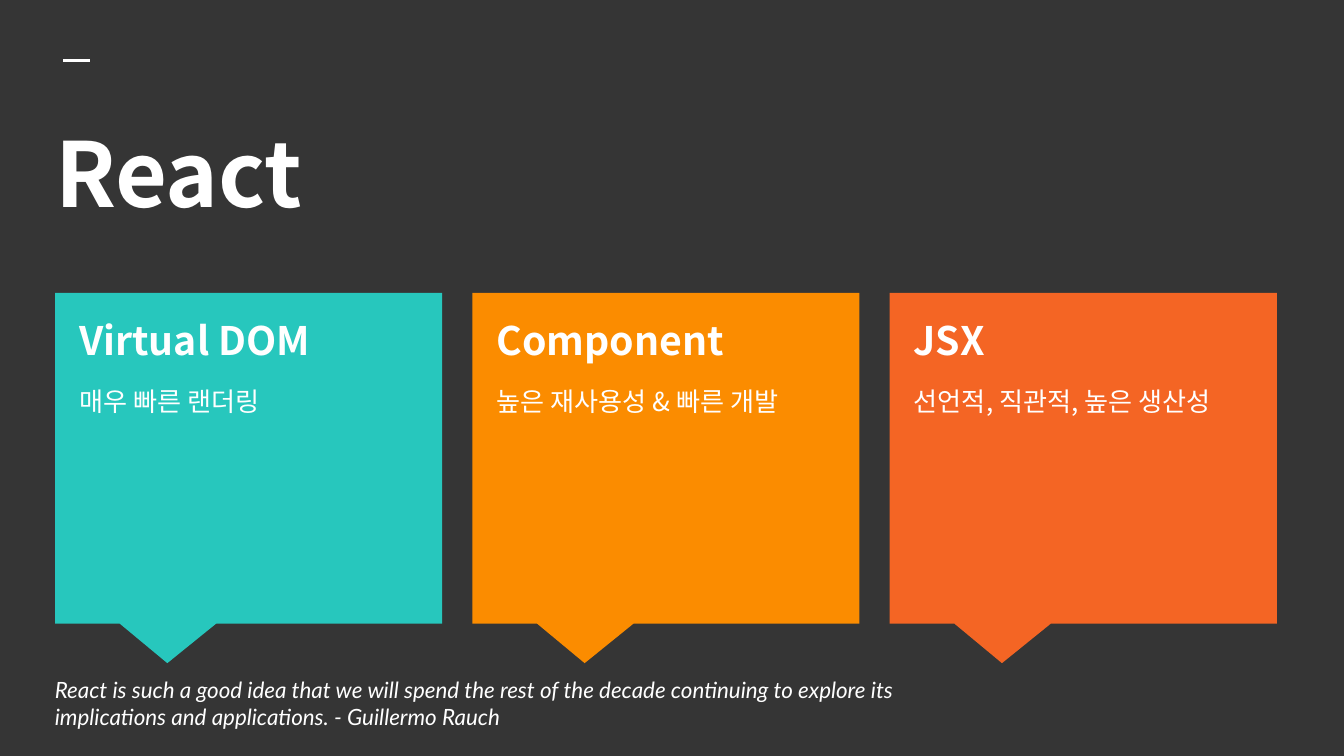
from lxml.etree import SubElement
from pptx import Presentation
from pptx.dml.color import RGBColor
from pptx.enum.shapes import MSO_CONNECTOR as Connector, MSO_SHAPE as Shape
from pptx.enum.text import MSO_ANCHOR as Anchor, PP_ALIGN as Align
from pptx.oxml.ns import qn
from pptx.util import Inches, Pt

HEADING_FONT = "Noto Sans CJK KR"
WHITE = "FFFFFF"
CARDS = [
    ("Virtual DOM", "매우 빠른 랜더링", "27C7BD"),
    ("Component", "높은 재사용성 & 빠른 개발", "FB8C00"),
    ("JSX", "선언적, 직관적, 높은 생산성", "F46524"),
]
QUOTE = (
    "React is such a good idea that we will spend the rest of the decade "
    "continuing to explore its implications and applications. - Guillermo Rauch"
)


def paint(fill, color):
    """Make a fill solid in a hex colour."""
    fill.solid()
    fill.fore_color.rgb = RGBColor.from_string(color)


def prepare_frame(frame, anchor):
    """Give a text frame wrapping, even margins and an anchor."""
    frame.word_wrap = True
    frame.vertical_anchor = anchor
    frame.margin_left = frame.margin_right = Inches(0.1)
    frame.margin_top = frame.margin_bottom = Inches(0.1)


def write(para, text, size, name=HEADING_FONT, bold=False, italic=False):
    """Write left-aligned white text into a paragraph."""
    para.text = text
    para.alignment = Align.LEFT
    font = para.font
    font.name, font.size, font.bold, font.italic = name, Pt(size), bold, italic
    paint(font.fill, WHITE)


def add_header(page, left, top, width, height):
    """Place the short rule and the title below it."""
    rule_left, rule_top = left + 0.16, top - 0.33
    rule = page.shapes.add_connector(
        Connector.STRAIGHT, Inches(rule_left), Inches(rule_top),
        Inches(rule_left + 0.2), Inches(rule_top))
    paint(rule.line.fill, WHITE)
    rule.line.width = Pt(1.5)
    SubElement(rule._element.spPr, qn("a:effectLst"))

    title = page.shapes.title
    title.left, title.top = Inches(left), Inches(top)
    title.width, title.height = Inches(width), Inches(height)
    prepare_frame(title.text_frame, Anchor.TOP)
    write(title.text_frame.paragraphs[0], "React", 48, bold=True)


def add_card(page, left, top, width, height, heading, detail, color):
    """Place a callout with a heading and a line of detail."""
    callout = page.shapes.add_shape(
        Shape.RECTANGULAR_CALLOUT, Inches(left), Inches(top), Inches(width), Inches(height))
    callout.adjustments[0], callout.adjustments[1] = -0.21, 0.62
    callout.shadow.inherit = False
    paint(callout.fill, color)
    callout.line.fill.background()

    box = page.shapes.add_textbox(
        Inches(left + 0.08), Inches(top + 0.07), Inches(width - 0.17), Inches(height - 0.27))
    prepare_frame(box.text_frame, Anchor.TOP)
    write(box.text_frame.paragraphs[0], heading, 21, bold=True)
    para = box.text_frame.add_paragraph()
    write(para, detail, 14)
    para.space_before = para.space_after = Pt(12)


def add_quote(page, left, top, width, height):
    """Place the closing quotation."""
    box = page.shapes.add_textbox(Inches(left), Inches(top), Inches(width), Inches(height))
    prepare_frame(box.text_frame, Anchor.MIDDLE)
    write(box.text_frame.paragraphs[0], QUOTE, 12, name="Lato", italic=True)


def main():
    """Build and save the deck."""
    deck = Presentation()
    deck.slide_width, deck.slide_height = Inches(10), Inches(45 / 8)
    page = deck.slides.add_slide(deck.slide_layouts[5])
    paint(page.background.fill, "353535")
    add_header(page, 0.31, 0.78, 9.43, 1.12)
    pitch = (6.62 - 0.41) / 2
    for index, card in enumerate(CARDS):
        add_card(page, 0.41 + index * pitch, 2.18, 2.88, 2.46, *card)
    add_quote(page, 0.31, 5.09, 6.83, 0.28)
    deck.save("out.pptx")


if __name__ == "__main__":
    main()
